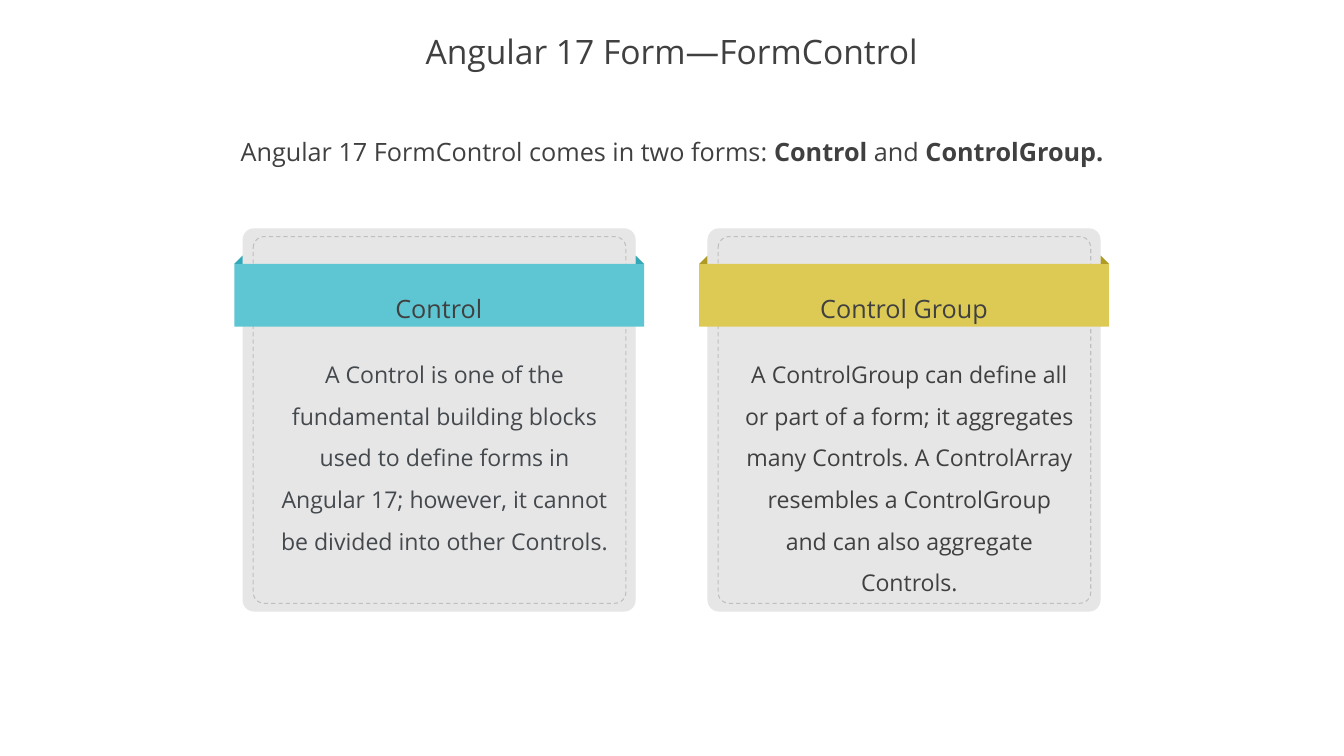
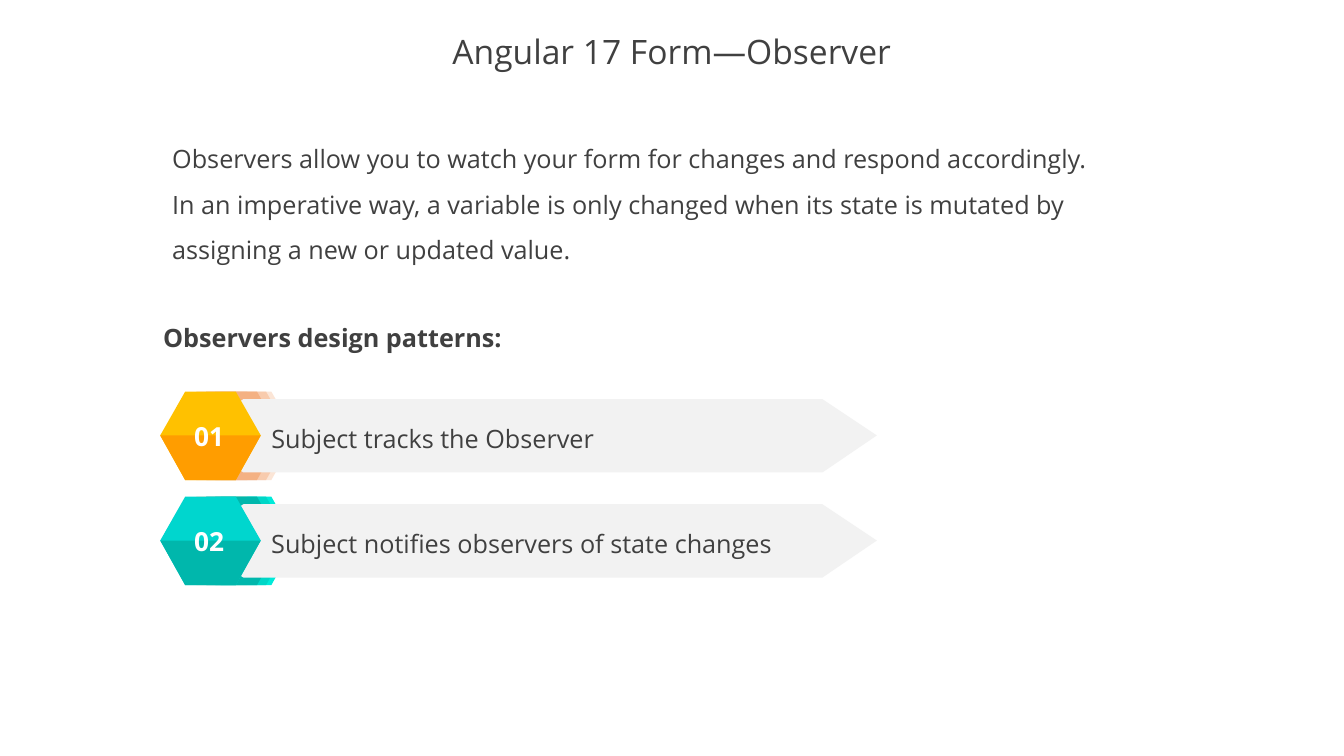
from dataclasses import dataclass

from pptx import Presentation
from pptx.dml.color import RGBColor
from pptx.enum.dml import MSO_LINE
from pptx.enum.shapes import MSO_SHAPE
from pptx.enum.text import MSO_ANCHOR, PP_ALIGN
from pptx.util import Pt

EMU_PER_PX = 9144
SLIDE_WIDTH, SLIDE_HEIGHT = 1778, 1000
FONT = "Open Sans"
TEXT, WHITE = "404040", "FFFFFF"
CARD_FILL, CARD_DASH, ARROW_FILL = "E7E6E6", "BFBFBF", "F2F2F2"
HEXAGON_WIDTH, HEXAGON_HEIGHT, HEXAGON_SLANT = 133, 117, 33


@dataclass
class Card:
    label: str
    label_width: int
    body: str
    body_height: int
    body_color: str
    band: str
    fold: str


@dataclass
class Step:
    number: str
    text: str
    text_width: int
    upper: str
    lower: str
    echoes: tuple


CARDS = (
    Card("Control", 143,
         "A Control is one of the fundamental building blocks used to define forms "
         "in Angular 17; however, it cannot be divided into other Controls.",
         281, "44494E", "5EC6D3", "32A8B8"),
    Card("Control Group", 256,
         "A ControlGroup can define all or part of a form; it aggregates many Controls. "
         "A ControlArray resembles a ControlGroup and can also aggregate Controls.",
         345, TEXT, "DDCA55", "AF9B23"),
)
STEPS = (
    Step("01", "Subject tracks the Observer", 452, "FFC100", "FF9D00",
         ("FBE5D6", "F8CBAD", "F8CBAD", "F4B183")),
    Step("02", "Subject notifies observers of state changes", 747, "00D6CE", "00B7AC",
         ("00EAD9", "00D6C7", "F8CBAD", "00B7AC")),
)
ECHO_OFFSETS = (47, 40, 15, 28)


def px(length):
    """Turn whole pixels into EMU."""
    return length * EMU_PER_PX


def color(value):
    """Turn a hex string into a colour."""
    return RGBColor.from_string(value)


def paint(shape, fill=None):
    """Give a shape a flat fill, or none, without line or shadow."""
    shape.shadow.inherit = False
    shape.line.fill.background()
    if fill:
        shape.fill.solid()
        shape.fill.fore_color.rgb = color(fill)
    else:
        shape.fill.background()
    return shape


def add_preset(shapes, kind, box, fill=None):
    """Add a preset shape in a box of left, top, width and height."""
    return paint(shapes.add_shape(kind, *map(px, box)), fill)


def add_polygon(shapes, left, top, points, fill):
    """Add a closed outline whose points are relative to left and top."""
    corners = [(left + x, top + y) for x, y in points]
    builder = shapes.build_freeform(*corners[0], scale=EMU_PER_PX)
    builder.add_line_segments(corners[1:], close=True)
    return paint(builder.convert_to_shape(), fill)


def write(shape, runs, size=24, ink=TEXT, align=PP_ALIGN.LEFT, spacing=1.0,
          anchor=MSO_ANCHOR.TOP, wrap=True):
    """Write one paragraph from pairs of text and boldness."""
    frame = shape.text_frame
    frame.word_wrap = wrap
    frame.vertical_anchor = anchor
    paragraph = frame.paragraphs[0]
    paragraph.alignment = align
    paragraph.line_spacing = spacing
    for text, bold in runs:
        run = paragraph.add_run()
        run.text = text
        run.font.name = FONT
        run.font.size = Pt(size)
        run.font.bold = bold
        run.font.color.rgb = color(ink)


def add_text(shapes, box, runs, **style):
    """Add a text box in a box of left, top, width and height."""
    write(shapes.add_textbox(*map(px, box)), runs, **style)


def add_slide(presentation, title):
    """Add a blank slide with the shared title."""
    slide = presentation.slides.add_slide(presentation.slide_layouts[6])
    add_text(slide.shapes, (0, 35, SLIDE_WIDTH, 73), [(title, False)], size=32,
             align=PP_ALIGN.CENTER, spacing=0.9, anchor=MSO_ANCHOR.MIDDLE)
    return slide


def add_card(slide, left, top, card):
    """Add a card with a folded band, a label and a body."""
    shapes = slide.shapes.add_group_shape().shapes
    band_width, fold = 542, 11
    panel_width = band_width - 2 * fold
    panel = add_preset(shapes, MSO_SHAPE.ROUNDED_RECTANGLE,
                       (left + fold, top, panel_width, 507), CARD_FILL)
    stitching = add_preset(shapes, MSO_SHAPE.ROUNDED_RECTANGLE,
                           (left + 25, top + 11, 493, 485))
    stitching.line.color.rgb = color(CARD_DASH)
    stitching.line.width = Pt(1)
    stitching.line.dash_style = MSO_LINE.DASH
    for outline in (panel, stitching):
        outline.adjustments[0] = 0.03

    add_preset(shapes, MSO_SHAPE.RECTANGLE, (left, top + 47, band_width, 83), card.band)
    label_left = left + (band_width - card.label_width) // 2
    add_text(shapes, (label_left, top + 61, card.label_width, 71), [(card.label, False)],
             align=PP_ALIGN.CENTER, spacing=1.5, wrap=False)
    for fold_left, flipped in ((left, True), (left + band_width - fold, False)):
        corner = add_preset(shapes, MSO_SHAPE.RIGHT_TRIANGLE,
                            (fold_left, top + 36, fold, fold), card.fold)
        if flipped:
            corner._element.spPr.xfrm.set("flipH", "1")
    add_text(shapes, (left + 50, top + 152, 456, card.body_height), [(card.body, False)],
             size=22, ink=card.body_color, align=PP_ALIGN.CENTER, spacing=1.5)


def add_step(slide, left, top, step):
    """Add a numbered hexagon with its echoes and a text arrow."""
    shapes = slide.shapes.add_group_shape().shapes
    middle = HEXAGON_HEIGHT // 2
    right = HEXAGON_WIDTH - HEXAGON_SLANT
    lower_half = [(HEXAGON_WIDTH, middle), (right, HEXAGON_HEIGHT),
                  (HEXAGON_SLANT, HEXAGON_HEIGHT), (0, middle)]
    hexagon = [(HEXAGON_SLANT, 0), (right, 0), *lower_half]
    arrow = [(73, 97), (0, 48), (73, 0), (839, 0), (911, 48), (839, 97)]

    for offset, fill in zip(ECHO_OFFSETS, step.echoes):
        add_polygon(shapes, left + offset, top, hexagon, fill)
    add_polygon(shapes, left + 37, top + 10, arrow, ARROW_FILL)
    add_polygon(shapes, left, top, hexagon, step.upper)
    add_polygon(shapes, left, top, lower_half, step.lower)
    add_text(shapes, (left + 137, top + 37, step.text_width, 50), [(step.text, False)])
    add_text(shapes, (left + 35, top + 33, 60, 52), [(step.number, True)],
             size=25, ink=WHITE, wrap=False)


def add_form_control_slide(presentation):
    """Build the slide that compares the two forms of control."""
    slide = add_slide(presentation, "Angular 17 Form—FormControl")
    add_text(slide.shapes, (293, 176, 1192, 50),
             [("Angular 17 FormControl comes in two forms: ", False), ("Control", True),
              (" and ", False), ("ControlGroup.", True)], align=PP_ALIGN.CENTER)
    for index, card in enumerate(CARDS):
        add_card(slide, 310 + 615 * index, 302, card)


def add_observer_slide(presentation):
    """Build the slide on observers and their design patterns."""
    slide = add_slide(presentation, "Angular 17 Form—Observer")
    introduction = add_preset(slide.shapes, MSO_SHAPE.ROUNDED_RECTANGLE,
                              (212, 159, 1272, 203))
    introduction.adjustments[0] = 0.1
    write(introduction,
          [("Observers allow you to watch your form for changes and respond accordingly. "
            "In an imperative way, a variable is only changed when its state is mutated "
            "by assigning a new or updated value.", False)], spacing=1.5)
    add_text(slide.shapes, (206, 401, 761, 64), [("Observers design patterns:", True)],
             spacing=1.5)
    for index, step in enumerate(STEPS):
        add_step(slide, 212, 518 + 139 * index, step)


def main():
    """Build and save the presentation."""
    presentation = Presentation()
    presentation.slide_width = px(SLIDE_WIDTH)
    presentation.slide_height = px(SLIDE_HEIGHT)
    add_form_control_slide(presentation)
    add_observer_slide(presentation)
    presentation.save("out.pptx")


if __name__ == "__main__":
    main()
